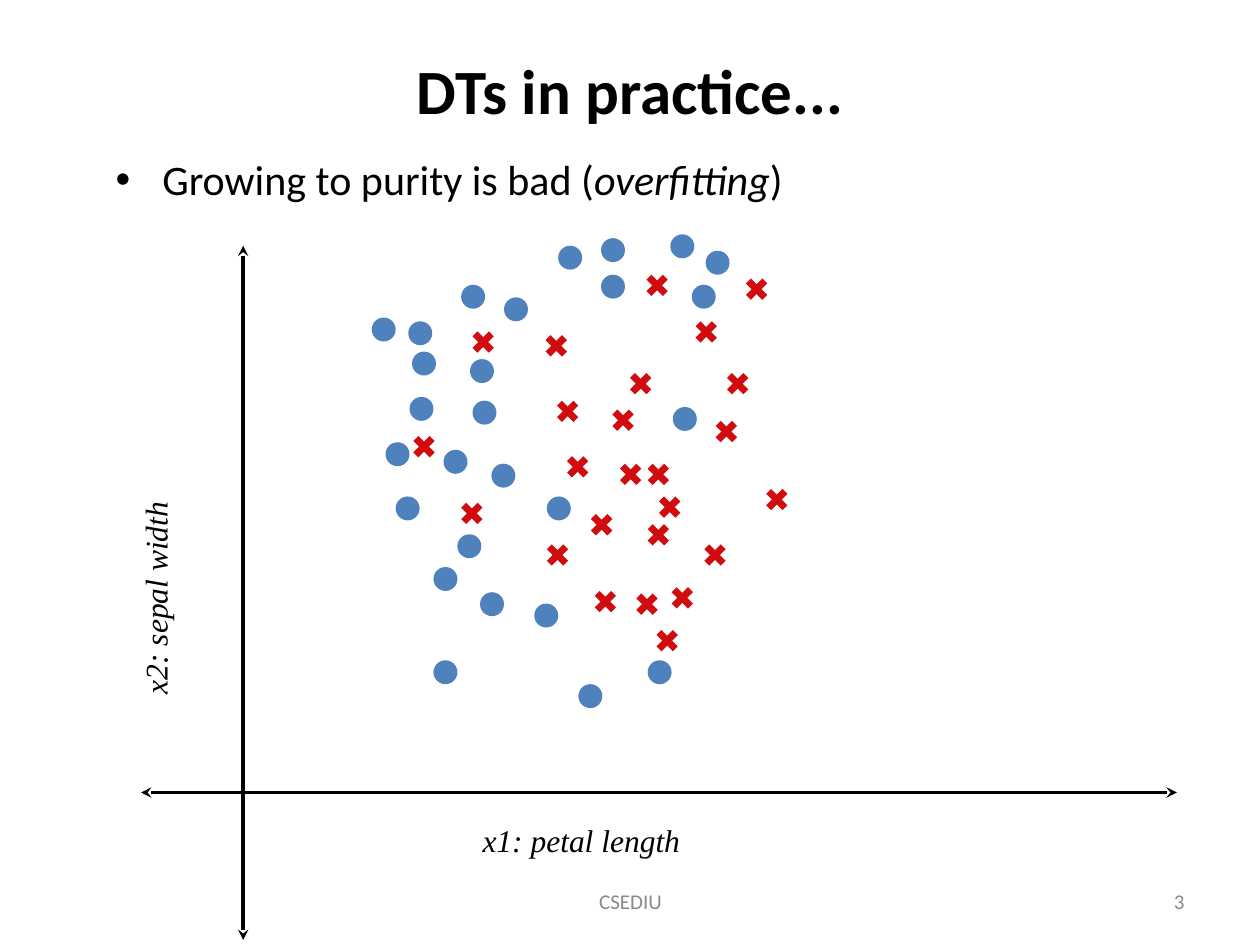
from dataclasses import dataclass

from lxml.etree import SubElement
from pptx import Presentation
from pptx.dml.color import RGBColor
from pptx.enum.shapes import MSO_CONNECTOR, MSO_SHAPE
from pptx.enum.text import MSO_ANCHOR, MSO_AUTO_SIZE, PP_ALIGN
from pptx.oxml.ns import qn
from pptx.util import Inches, Pt


@dataclass(frozen=True)
class Theme:
    sans: str = "Calibri"
    serif: str = "Times New Roman"
    ink: str = "000000"
    muted: str = "898989"
    dot: str = "4F81BD"
    cross: str = "D10C0F"
    title: int = 36
    body: int = 24
    label: int = 18
    footer: int = 12
    axis_width: int = 2
    cross_width: int = 4


T = Theme()
DOT_SIZE, CROSS_SIZE = 0.19, 0.13
INSET, NO_INSET = (0.1, 0.05), (0, 0)

TITLE = [("DTs in practice...", False)]
BULLET = [("Growing to purity is bad (", False), ("overfitting", True), (")", False)]
X_LABEL = [("x1: petal length", True)]
Y_LABEL = [("x2: sepal width", True)]
FOOTER = [("CSEDIU", False)]
NUMBER = [("3", False)]

AXES = [(1.93, 1.95, 1.93, 7.46), (9.34, 6.29, 1.12, 6.29)]

DOTS = [
    (4.59, 5.43), (5.14, 5.24), (3.81, 4.7), (3.63, 4.24), (3.44, 5.24),
    (4.24, 4.79), (3.14, 3.94), (3.52, 3.57), (3.9, 3.68), (3.25, 3.15),
    (3.73, 2.85), (4, 2.36), (3.24, 2.55), (4.43, 1.95), (4.77, 2.18),
    (5.32, 1.86), (4.34, 3.94), (3.27, 2.79), (3.75, 3.18), (3.66, 2.26),
    (3.44, 4.5), (3.06, 3.51), (2.95, 2.52), (5.6, 1.99), (4.77, 1.89),
    (5.49, 2.26), (5.34, 3.23),
]
CROSSES = [
    (4.52, 3.64), (4.71, 4.1), (5.16, 4.18), (4.36, 4.34), (4.44, 3.2),
    (5.02, 2.98), (4.74, 4.71), (5.16, 3.7), (5.35, 4.68), (5.54, 2.57),
    (5.61, 4.34), (5.7, 3.36), (6.1, 3.9), (3.77, 2.65), (3.3, 3.48),
    (3.68, 4.01), (4.94, 3.7), (4.88, 3.27), (5.25, 3.96), (5.07, 4.73),
    (5.15, 2.2), (4.35, 2.68), (5.79, 2.98), (5.23, 5.02), (5.94, 2.23),
]


def add_text(s, box, runs, size, font=T.sans, color=T.ink, bold=False,
             align=PP_ALIGN.LEFT, anchor=MSO_ANCHOR.TOP, inset=INSET, wrap=True):
    sp = s.shapes.add_textbox(*map(Inches, box))
    tf = sp.text_frame
    tf.word_wrap = wrap
    tf.auto_size = MSO_AUTO_SIZE.NONE if wrap else MSO_AUTO_SIZE.SHAPE_TO_FIT_TEXT
    tf.vertical_anchor = anchor
    tf.margin_left = tf.margin_right = Inches(inset[0])
    tf.margin_top = tf.margin_bottom = Inches(inset[1])
    p = tf.paragraphs[0]
    p.alignment = align
    for text, italic in runs:
        r = p.add_run()
        r.text = text
        r.font.name, r.font.size = font, Pt(size)
        r.font.bold, r.font.italic = bold, italic
        r.font.color.rgb = RGBColor.from_string(color)
    return sp


def add_bullet(sp, left, hanging):
    pPr = sp.text_frame.paragraphs[0]._p.get_or_add_pPr()
    pPr.set("marL", str(Inches(left)))
    pPr.set("indent", str(Inches(hanging)))
    SubElement(pPr, qn("a:buFont")).set("typeface", "Arial")
    SubElement(pPr, qn("a:buChar")).set("char", "•")


def add_line(shapes, ends, color, width, arrows=False):
    sp = shapes.add_connector(MSO_CONNECTOR.STRAIGHT, *map(Inches, ends))
    sp.line.color.rgb = RGBColor.from_string(color)
    sp.line.width = Pt(width)
    if arrows:
        ln = sp.line._get_or_add_ln()
        for tag in ("a:headEnd", "a:tailEnd"):
            SubElement(ln, qn(tag)).set("type", "stealth")
    SubElement(sp._element.spPr, qn("a:effectLst"))


def add_dot(s, x, y):
    sp = s.shapes.add_shape(MSO_SHAPE.OVAL, *map(Inches, (x, y, DOT_SIZE, DOT_SIZE)))
    sp.shadow.inherit = False
    sp.fill.solid()
    sp.fill.fore_color.rgb = RGBColor.from_string(T.dot)
    sp.line.fill.background()


def add_cross(s, x, y):
    shapes = s.shapes.add_group_shape().shapes
    x2, y2 = x + CROSS_SIZE, y + CROSS_SIZE
    for ends in ((x, y, x2, y2), (x2, y, x, y2)):
        add_line(shapes, ends, T.cross, T.cross_width)


def main():
    """Build the decision tree overfitting slide."""
    prs = Presentation()
    prs.slide_width, prs.slide_height = Inches(10), Inches(7.5)
    s = prs.slides.add_slide(prs.slide_layouts[6])

    add_text(s, (0.5, 0.08, 9, 1.25), TITLE, T.title, bold=True,
             align=PP_ALIGN.CENTER, anchor=MSO_ANCHOR.MIDDLE)
    add_bullet(add_text(s, (0.5, 1.17, 9, 4.95), BULLET, T.body), 0.69, -0.37)

    for ends in AXES:
        add_line(s.shapes, ends, T.ink, T.axis_width, arrows=True)
    add_text(s, (3.83, 6.52, 1.57, 0.3), X_LABEL, T.label, T.serif,
             inset=NO_INSET, wrap=False)
    sp = add_text(s, (0.09, 3.95, 2.55, 0.57), Y_LABEL, T.label, T.serif, inset=NO_INSET)
    sp.rotation = 270

    for x, y in DOTS:
        add_dot(s, x, y)
    for x, y in CROSSES:
        add_cross(s, x, y)

    for box, runs, align in (((7.17, 6.95, 2.33, 0.4), NUMBER, PP_ALIGN.RIGHT),
                             ((3.42, 6.95, 3.17, 0.4), FOOTER, PP_ALIGN.CENTER)):
        add_text(s, box, runs, T.footer, color=T.muted, align=align,
                 anchor=MSO_ANCHOR.MIDDLE)
    prs.save("out.pptx")


if __name__ == "__main__":
    main()
